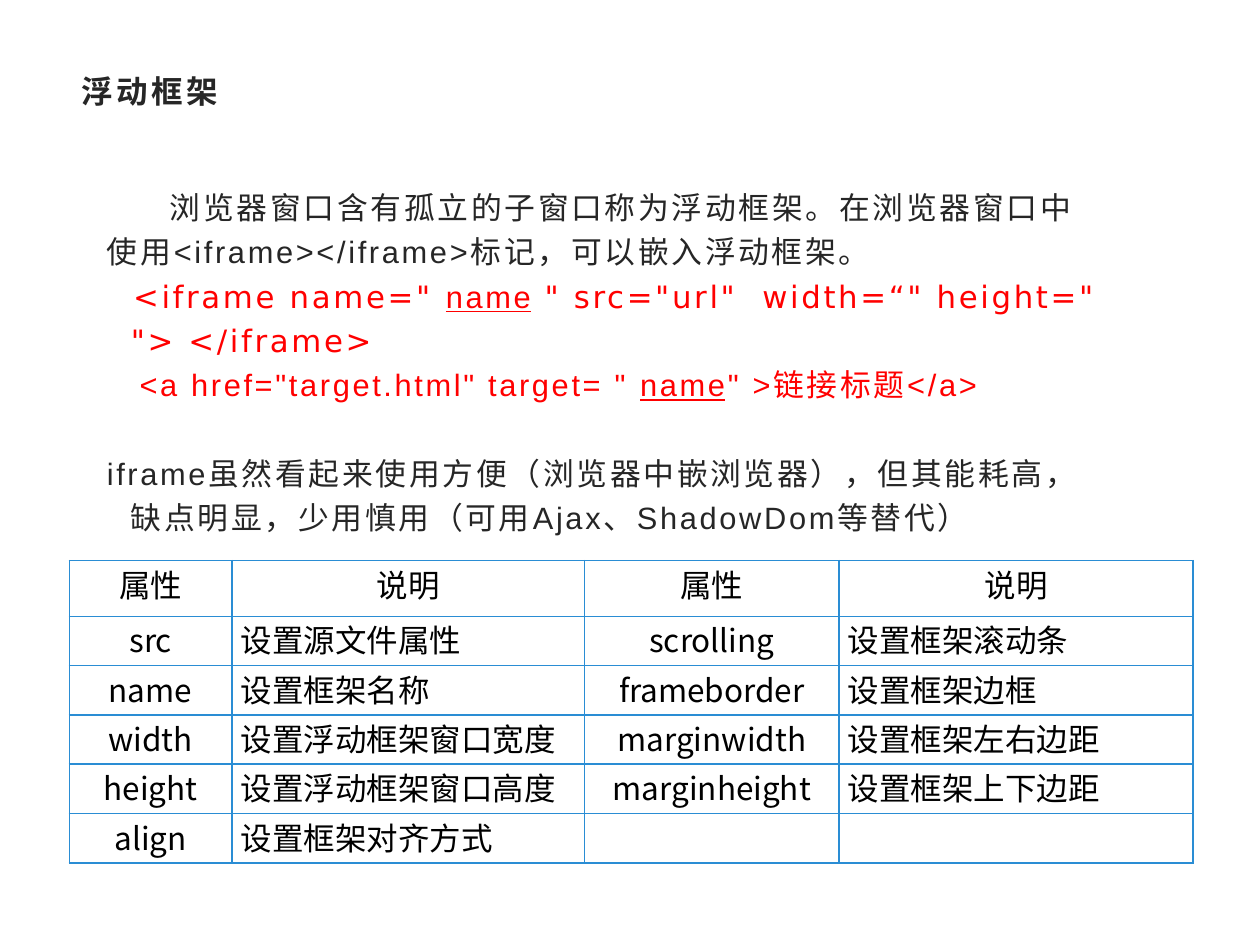
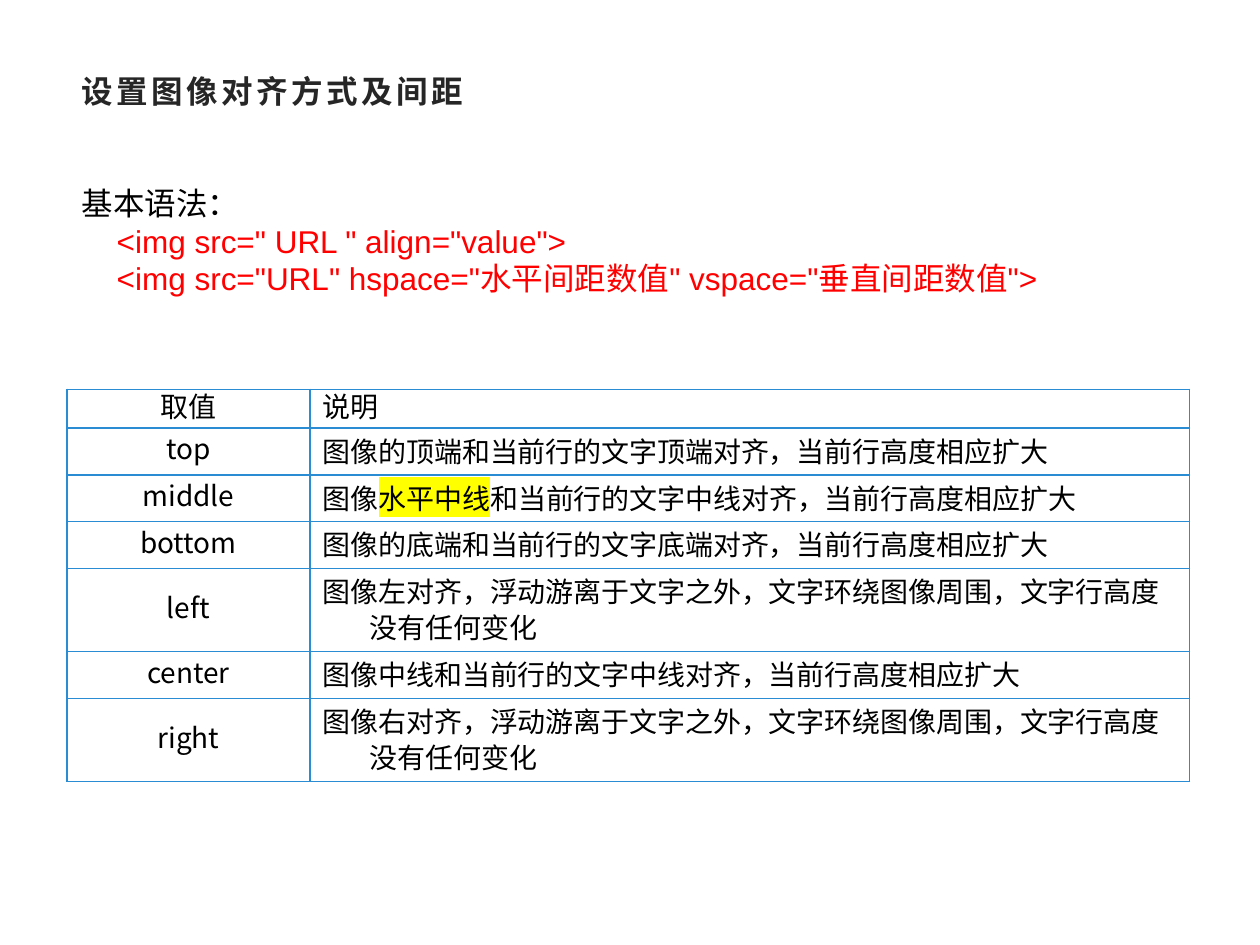
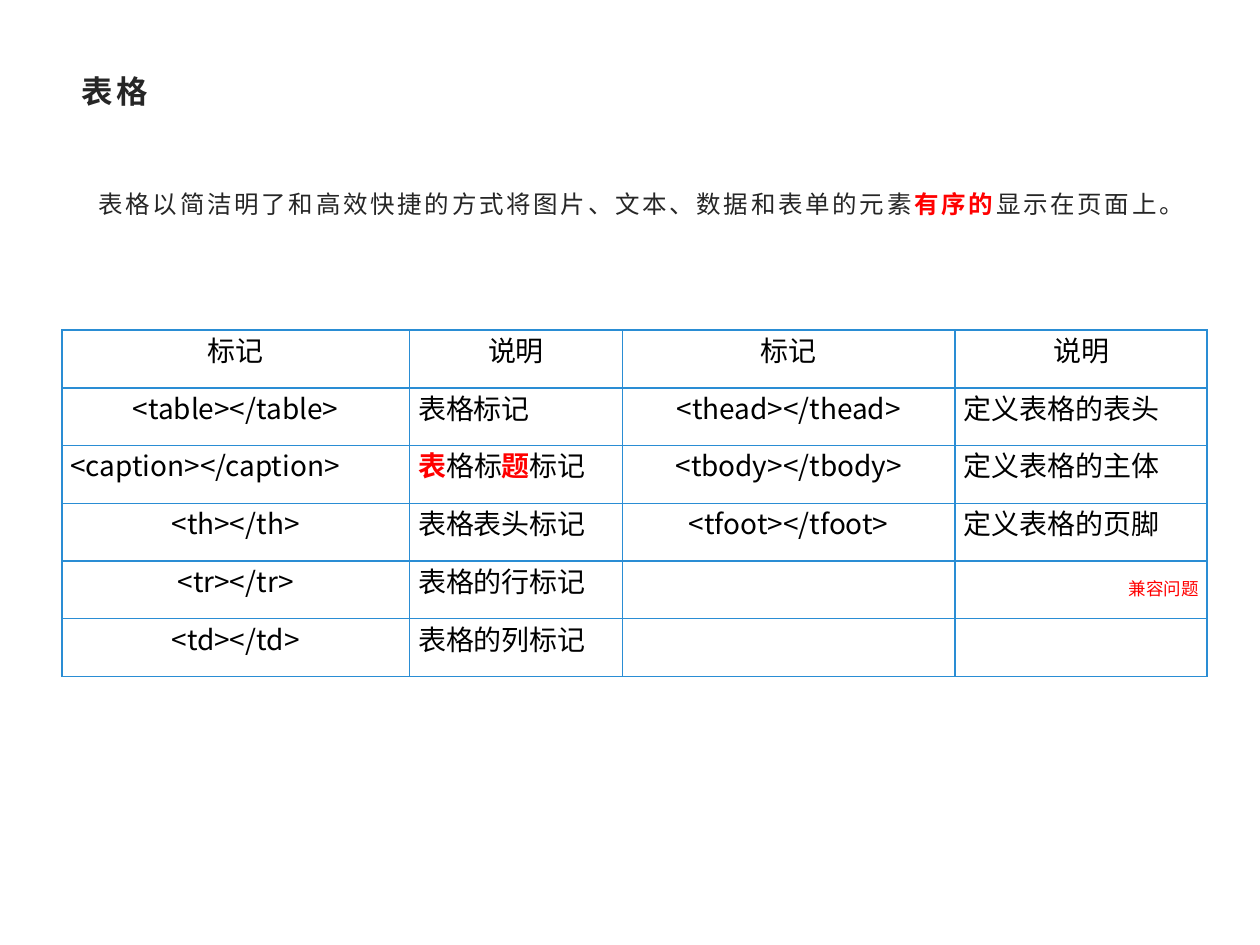
import pptx
import pptx.dml.color
import pptx.enum.text
import pptx.oxml
import pptx.oxml.ns
import pptx.util

Pt = pptx.util.Pt
ALIGN = pptx.enum.text.PP_ALIGN
ANCHOR = pptx.enum.text.MSO_ANCHOR
SIDES = {"c": ALIGN.CENTER, "l": ALIGN.LEFT, "j": ALIGN.JUSTIFY, "r": ALIGN.RIGHT}
LEVELS = {"t": ANCHOR.TOP, "m": ANCHOR.MIDDLE}
INK, BLACK, RED = "262626", "000000", "FF0000"
BLUE, WHITE, YELLOW = "2A8DD4", "FFFFFF", "FFFF00"
NOTO = "Noto Sans CJK SC"
NS = pptx.oxml.ns.nsdecls("a")


def color(code):
    return pptx.dml.color.RGBColor.from_string(code)


def solid(code):
    return f'<a:solidFill><a:srgbClr val="{code}"/></a:solidFill>'


class Deck:
    def __init__(self):
        self.prs = pptx.Presentation()
        self.prs.slide_width, self.prs.slide_height = Pt(720), Pt(540)
        self.slide = None

    def page(self, title):
        self.slide = self.prs.slides.add_slide(self.prs.slide_layouts[5])
        head = self.slide.shapes.title
        head.left, head.top, head.width, head.height = Pt(39.6), Pt(34.6), Pt(640.8), Pt(34.6)
        para = head.text_frame.paragraphs[0]
        para.alignment = ALIGN.LEFT
        self.run(para, title, size=18, ink=INK, bold=True, track=2)

    def run(self, para, text, size=18, ink=BLACK, face="Arial", bold=False,
            under=False, track=0, mark=None):
        run = para.add_run()
        run.text = text
        font = run.font
        font.size, font.bold, font.underline = Pt(size), bold, under
        font.color.rgb = color(ink)
        props = run._r.get_or_add_rPr()
        if track:
            props.set("spc", str(int(track * 100)))
        if mark:
            props.append(pptx.oxml.parse_xml(
                f'<a:highlight {NS}><a:srgbClr val="{mark}"/></a:highlight>'))
        font.name = face
        props.append(pptx.oxml.parse_xml(f'<a:ea {NS} typeface="{NOTO}"/>'))

    def fill(self, para, parts, base):
        if isinstance(parts, str):
            parts = [(parts, {})]
        for text, extra in parts:
            self.run(para, text, **{**base, **extra})

    def inset(self, para, left, first):
        props = para._p.get_or_add_pPr()
        props.set("marL", str(Pt(left)))
        props.set("indent", str(Pt(first)))

    def text(self, box, paras, base, lead=1.0):
        frame = self.slide.shapes.add_textbox(*map(Pt, box)).text_frame
        frame.word_wrap = True
        for i, (left, first, gap, parts) in enumerate(paras):
            para = frame.add_paragraph() if i else frame.paragraphs[0]
            self.inset(para, left, first)
            para.line_spacing = lead
            if gap:
                para.space_before = Pt(gap)
            self.fill(para, parts, base)

    def edge(self, cell):
        props = cell._tc.get_or_add_tcPr()
        for side in "LRTB":
            props.append(pptx.oxml.parse_xml(
                f'<a:ln{side} {NS} w="12700">{solid(BLUE)}</a:ln{side}>'))
        cell.fill.solid()
        cell.fill.fore_color.rgb = color(WHITE)

    def table(self, left, top, cols, highs, rows, size, heads, sides, level,
              pad, leads=None, hang=0):
        frame = self.slide.shapes.add_table(
            len(rows), len(cols), Pt(left), Pt(top), Pt(sum(cols)), Pt(sum(highs)))
        grid = frame.table
        grid.first_row = grid.horz_banding = False
        for col, wide in zip(grid.columns, cols):
            col.width = Pt(wide)
        for row, high in zip(grid.rows, highs):
            row.height = Pt(high)
        for i, row in enumerate(rows):
            for j, parts in enumerate(row):
                cell = grid.cell(i, j)
                self.edge(cell)
                cell.margin_left = cell.margin_right = Pt(pad[0])
                cell.margin_top = cell.margin_bottom = Pt(pad[1])
                cell.vertical_anchor = LEVELS[level[j]]
                para = cell.text_frame.paragraphs[0]
                para.alignment = SIDES[(sides if i else heads)[j]]
                if leads:
                    para.line_spacing = leads[j if i else 0]
                if hang:
                    self.inset(para, hang, -hang)
                if parts:
                    self.fill(para, parts, dict(size=size, face=NOTO))
        return grid


def frames(deck):
    deck.page("浮动框架")
    red = dict(ink=RED)
    code = dict(ink=RED, face="DejaVu Sans")
    link = dict(ink=RED, under=True)
    deck.text((54, 100.1, 586.1, 220.3), [
        (0, 36, 0, "浏览器窗口含有孤立的子窗口称为浮动框架。在浏览器窗口中使用"
                   "<iframe></iframe>标记，可以嵌入浮动框架。"),
        (13.7, 1.3, 0, [('<iframe name=" ', code), ("name", link), (" ", red),
                        ('" src="url"  width=“" height=" "> </iframe>', code)]),
        (13.7, 5, 0, [('<a href="target.html" target= " ', red), ("name", link),
                      ('" >链接标题</a>', red)]),
        (13.7, -13.7, 25.3, "iframe虽然看起来使用方便（浏览器中嵌浏览器），但其能耗高，"
                            "缺点明显，少用慎用（可用Ajax、ShadowDom等替代）"),
    ], dict(size=17.6, ink=INK, track=1.5), lead=1.2)
    deck.table(39.6, 320.4, [92.9, 201.6, 145.4, 202.3], [31.8] + [28.2] * 5, [
        ("属性", "说明", "属性", "说明"),
        ("src", "设置源文件属性", "scrolling", "设置框架滚动条"),
        ("name", "设置框架名称", "frameborder", "设置框架边框"),
        ("width", "设置浮动框架窗口宽度", "marginwidth", "设置框架左右边距"),
        ("height", "设置浮动框架窗口高度", "marginheight", "设置框架上下边距"),
        ("align", "设置框架对齐方式", "", ""),
    ], 18, "cccc", "cjcj", "tttt", (5, 0))


def images(deck):
    deck.page("设置图像对齐方式及间距")
    tail = "对齐，当前行高度相应扩大"
    wrap = "对齐，浮动游离于文字之外，文字环绕图像周围，文字行高度没有任何变化"
    deck.table(38.2, 222.5, [139, 502.6], [18.7, 23, 23, 23, 40.3, 23, 40.3], [
        ("取值", "说明"),
        ("top", "图像的顶端和当前行的文字顶端" + tail),
        ("middle", [("图像", {}), ("水平中线", dict(mark=YELLOW)),
                    ("和当前行的文字中线" + tail, {})]),
        ("bottom", "图像的底端和当前行的文字底端" + tail),
        ("left", "图像左" + wrap),
        ("center", "图像中线和当前行的文字中线" + tail),
        ("right", "图像右" + wrap),
    ], 16, "cl", "cl", "mt", (7.2, 3), leads=(0.7, 0.9), hang=27)
    red = dict(ink=RED)
    deck.text((39.6, 101.5, 583.9, 72.7), [
        (0, 0, 0, "基本语法："),
        (20, 0, 0, [('<img src=" URL " align="value">', red)]),
        (20, 0, 0, [('<img src="URL" hspace="水平间距数值" vspace="垂直间距数值">', red)]),
    ], dict(size=18))


def tables(deck):
    deck.page("表格")
    key = dict(ink=RED, bold=True)
    deck.text((17.3, 99.4, 671.8, 85), [
        (0, 32, 0, [("表格以简洁明了和高效快捷的方式将图片、文本、数据和表单的元素", {}),
                    ("有序的", key), ("显示在页面上。", {})]),
    ], dict(size=14, ink=INK, track=1.5), lead=1.3)
    grid = deck.table(35.3, 188.6, [198.7, 121.7, 190.1, 144], [33] * 6, [
        ("标记", "说明", "标记", "说明"),
        ("<table></table>", "表格标记", "<thead></thead>", "定义表格的表头"),
        ("<caption></caption>", [("表", key), ("格标", {}), ("题", key), ("标记", {})],
         "<tbody></tbody>", "定义表格的主体"),
        ("<th></th>", "表格表头标记", "<tfoot></tfoot>", "定义表格的页脚"),
        ("<tr></tr>", "表格的行标记", "", [("兼容问题", dict(size=10, ink=RED))]),
        ("<td></td>", "表格的列标记", "", ""),
    ], 16, "cccc", "cjcl", "mmmm", (5, 0), leads=[Pt(12)] * 4)
    for row, col, side in ((2, 0, "j"), (4, 3, "r")):
        grid.cell(row, col).text_frame.paragraphs[0].alignment = SIDES[side]


def main():
    deck = Deck()
    frames(deck)
    images(deck)
    tables(deck)
    deck.prs.save("out.pptx")


if __name__ == "__main__":
    main()
